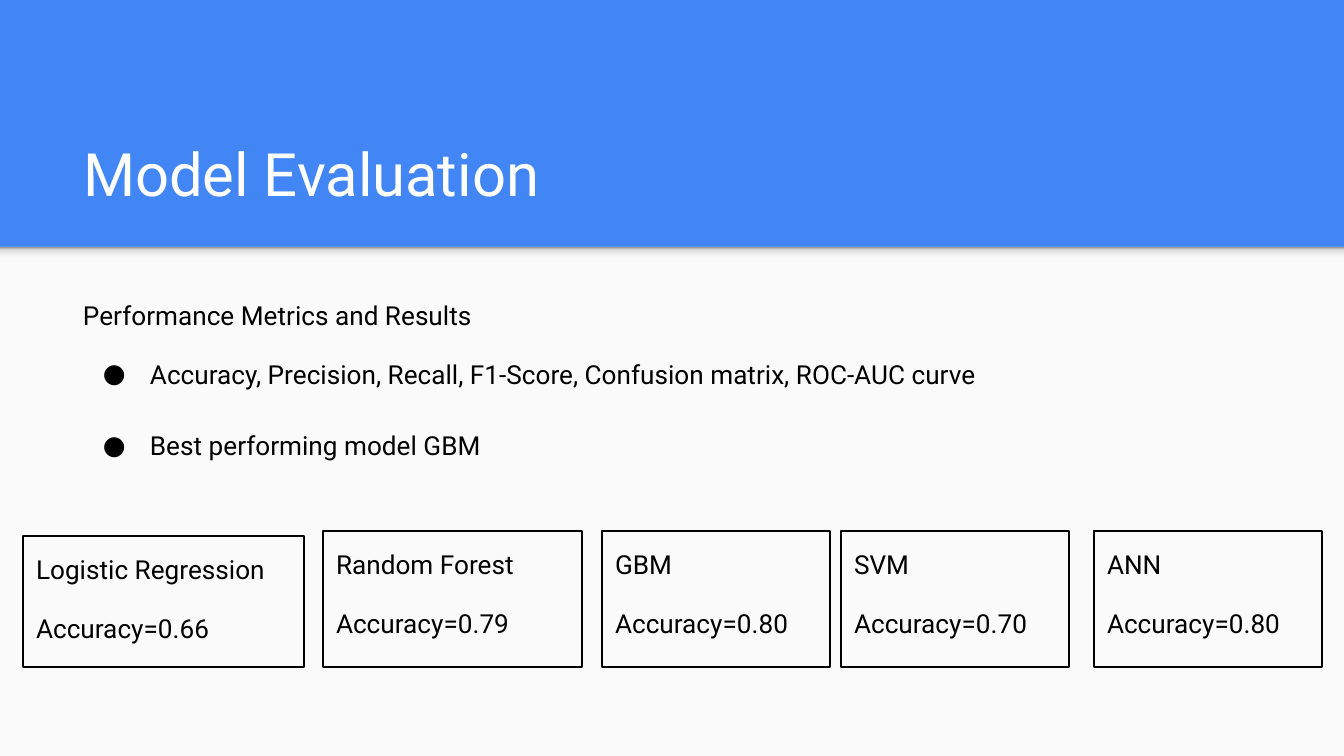
from copy import deepcopy

from lxml.etree import SubElement
from pptx import Presentation
from pptx.dml.color import RGBColor
from pptx.enum.shapes import MSO_SHAPE
from pptx.enum.text import MSO_ANCHOR as Anchor, MSO_AUTO_SIZE as AutoSize, PP_ALIGN as Align
from pptx.oxml.ns import qn
from pptx.util import Emu, Pt

PX_PER_INCH = 134.4
WIDTH, HEIGHT = 1344, 756
HEADER_HEIGHT = 247
INSET = 13
BODY = {"size": 14, "color": "000000"}
BULLETS = [
    ("Accuracy, Precision, Recall, F1-Score, Confusion matrix, ROC-AUC curve", 12),
    ("Best performing model GBM", 19),
]
RESULTS_BOTTOM = 667
RESULTS = [
    ("Logistic Regression", "0.66", 23, 536, 281),
    ("Random Forest", "0.79", 323, 531, 259),
    ("GBM", "0.80", 602, 531, 228),
    ("SVM", "0.70", 841, 531, 228),
    ("ANN", "0.80", 1094, 531, 228),
]
SHADOW_STOPS = [(0, "F9F9F9"), (0.36, "F9F9F9"), (0.8, "DEDEDE"), (1, "999999")]


def px(value):
    return Emu(round(value * 914400 / PX_PER_INCH))


def rgb(color):
    return RGBColor.from_string(color)


def apply(target, values):
    for name, value in values.items():
        setattr(target, name, value)


def place(shape, left, top, width, height):
    apply(shape, {"left": px(left), "top": px(top), "width": px(width), "height": px(height)})


def prepare_frame(shape, anchor=Anchor.TOP):
    frame = shape.text_frame
    margins = {f"margin_{side}": px(INSET) for side in ("left", "top", "right", "bottom")}
    apply(frame, {"word_wrap": True, "auto_size": AutoSize.NONE, "vertical_anchor": anchor, **margins})
    return frame


def set_bullet(para):
    props = para._p.get_or_add_pPr()
    props.set("marL", str(px(67)))
    props.set("indent", str(-px(47)))
    color = SubElement(props, qn("a:buClr"))
    SubElement(color, qn("a:srgbClr"), val="000000")
    SubElement(props, qn("a:buFont"), typeface="Roboto")
    SubElement(props, qn("a:buChar"), char="●")


def write(para, text, size, color, before=0, spacing=1.15):
    apply(para, {"alignment": Align.LEFT, "line_spacing": spacing, "space_before": Pt(before)})
    span = para.add_run()
    span.text = text
    apply(span.font, {"name": "Roboto", "size": Pt(size)})
    span.font.color.rgb = rgb(color)


def add_rectangle(page, *bounds):
    shape = page.shapes.add_shape(MSO_SHAPE.RECTANGLE, *map(px, bounds))
    shape.shadow.inherit = False
    return shape


def add_panel(page):
    panel = add_rectangle(page, 0, HEADER_HEIGHT, WIDTH, HEIGHT - HEADER_HEIGHT)
    panel.fill.solid()
    panel.fill.fore_color.rgb = rgb("FAFAFA")
    panel.line.fill.background()


def add_header_shadow(page):
    shadow = add_rectangle(page, 0, HEADER_HEIGHT, WIDTH, 16)
    shadow.line.fill.background()
    shadow.fill.gradient()
    shadow.fill.gradient_angle = 90
    stop_list = shadow._element.spPr.find(".//" + qn("a:gsLst"))
    while len(stop_list) < len(SHADOW_STOPS):
        stop_list.append(deepcopy(stop_list[0]))
    for stop, (position, color) in zip(shadow.fill.gradient_stops, SHADOW_STOPS):
        stop.position = position
        stop.color.rgb = rgb(color)


def add_title(page, text):
    title = page.shapes.title
    place(title, 70, 109, 1208, 113)
    frame = prepare_frame(title, Anchor.BOTTOM)
    write(frame.paragraphs[0], text, 32, "FFFFFF", spacing=1.0)


def add_summary(page):
    box = page.shapes.add_textbox(px(70), px(282), px(1195), px(250))
    frame = prepare_frame(box)
    write(frame.paragraphs[0], "Performance Metrics and Results", **BODY)
    for text, before in BULLETS:
        para = frame.add_paragraph()
        set_bullet(para)
        write(para, text, before=before, **BODY)


def add_result(page, model, accuracy, left, top, width):
    box = add_rectangle(page, left, top, width, RESULTS_BOTTOM - top)
    box.fill.background()
    box.line.color.rgb = rgb("000000")
    box.line.width = Pt(0.75)
    frame = prepare_frame(box)
    write(frame.paragraphs[0], model, **BODY)
    write(frame.add_paragraph(), f"Accuracy={accuracy}", before=12, **BODY)


def main():
    deck = Presentation()
    apply(deck, {"slide_width": px(WIDTH), "slide_height": px(HEIGHT)})
    page = deck.slides.add_slide(deck.slide_layouts[5])
    page.background.fill.solid()
    page.background.fill.fore_color.rgb = rgb("4285F4")
    add_panel(page)
    add_header_shadow(page)
    add_title(page, "Model Evaluation")
    add_summary(page)
    for result in RESULTS:
        add_result(page, *result)
    deck.save("out.pptx")


if __name__ == "__main__":
    main()
